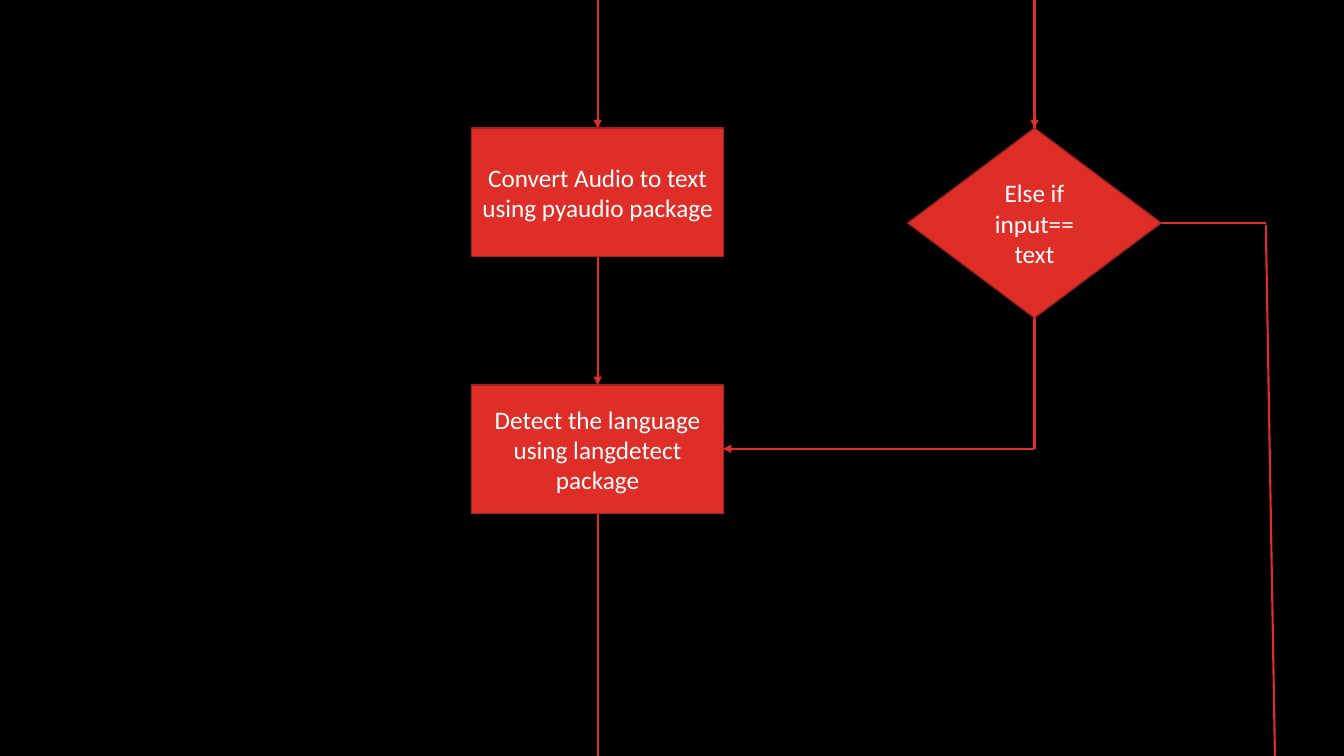
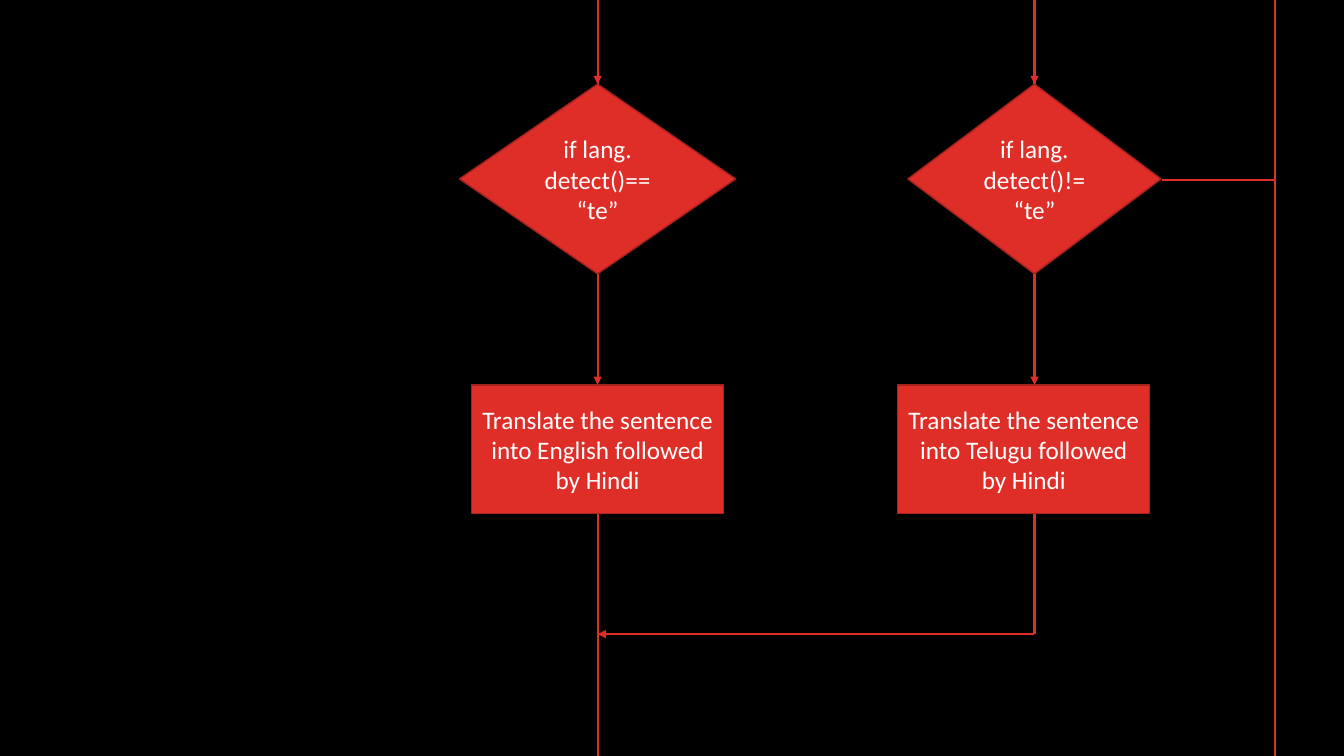
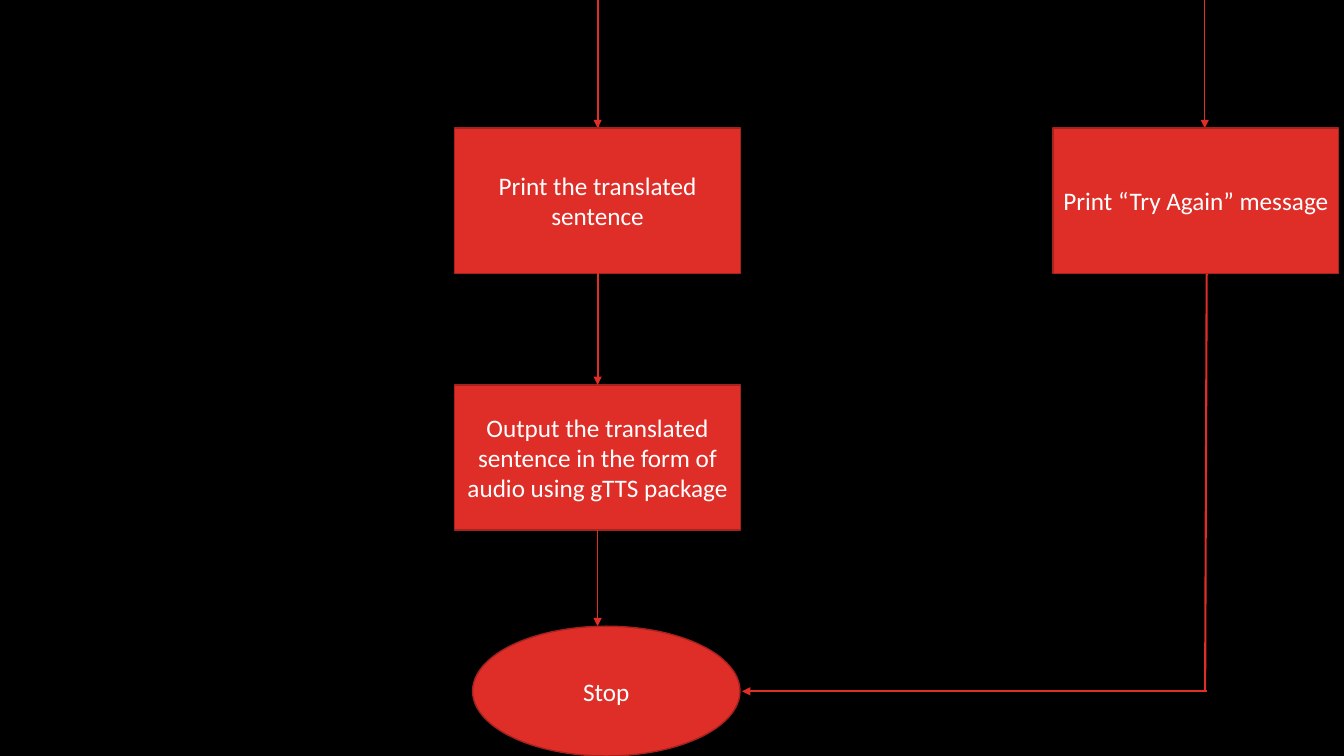
import pptx
import pptx.dml.color
import pptx.enum.shapes
import pptx.enum.text
import pptx.oxml
import pptx.oxml.ns
import pptx.util

Cm, Pt = pptx.util.Cm, pptx.util.Pt
SHAPE = pptx.enum.shapes.MSO_SHAPE
STRAIGHT = pptx.enum.shapes.MSO_CONNECTOR.STRAIGHT
NS = pptx.oxml.ns.nsdecls("a")

WIDTH, HEIGHT = 33.87, 19.05
MAIN_X, SIDE_X = 15.06, 26.07  # centres of the two flow columns
RETRY_X = 32.13                # line that leads to "Try Again"
ROW_1, ROW_2 = 3.23, 9.7       # tops of the two rows of boxes
TEST_TOP = 2.12
BOX = (6.35, 3.24)
WIDE_BOX = (7.2, 3.66)
TEST = (6.38, 4.78)
WIDE_TEST = (6.96, 4.78)
TOP, BOTTOM = 0, 2             # connection sites of boxes and diamonds


def color(value):
    return pptx.dml.color.RGBColor.from_string(value)


def write(tf, text, size=18, font="Calibri", fill="FFFFFF",
          align=pptx.enum.text.PP_ALIGN.CENTER):
    """Fill a text frame with one paragraph for each line of text."""
    tf.word_wrap = True
    tf.vertical_anchor = pptx.enum.text.MSO_ANCHOR.MIDDLE
    for i, line in enumerate(text.split("\n")):
        p = tf.paragraphs[0] if i == 0 else tf.add_paragraph()
        p.alignment = align
        r = p.add_run()
        r.text = line
        r.font.size, r.font.name = Pt(size), font
        r.font.color.rgb = color(fill)


class Flowchart:
    RED, EDGE, BACK = "DF2E28", "A5221E", "000000"
    THICK, THIN = 1.5, 0.75

    def __init__(self):
        self.prs = pptx.Presentation()
        self.prs.slide_width, self.prs.slide_height = Cm(WIDTH), Cm(HEIGHT)
        fill = self.prs.slide_master.background.fill
        fill.solid()
        fill.fore_color.rgb = color(self.BACK)

    def new_slide(self):
        self.s = self.prs.slides.add_slide(self.prs.slide_layouts[6])

    def node(self, text, x, top, size=BOX, kind=SHAPE.RECTANGLE):
        """Add a filled shape centred on x."""
        w, h = size
        sp = self.s.shapes.add_shape(kind, Cm(x - w / 2), Cm(top), Cm(w), Cm(h))
        sp.shadow.inherit = False
        sp.fill.solid()
        sp.fill.fore_color.rgb = color(self.RED)
        sp.line.color.rgb = color(self.EDGE)
        sp.line.width = Pt(1)
        write(sp.text_frame, text)
        return sp

    def test(self, text, x, top, size=TEST):
        return self.node(text, x, top, size, SHAPE.DIAMOND)

    def line(self, x1, y1, x2, y2, width=THICK, arrow=False):
        cn = self.s.shapes.add_connector(STRAIGHT, Cm(x1), Cm(y1), Cm(x2), Cm(y2))
        cn.line.color.rgb = color(self.RED)
        cn.line.width = Pt(width)
        if arrow:
            cn.line._get_or_add_ln().append(
                pptx.oxml.parse_xml(f'<a:tailEnd {NS} type="triangle"/>'))
        cn._element.spPr.append(pptx.oxml.parse_xml(f"<a:effectLst {NS}/>"))
        return cn

    def arrow(self, x1, y1, x2, y2, width=THICK):
        return self.line(x1, y1, x2, y2, width, arrow=True)

    def link(self, upper, lower):
        """Join the bottom of one node to the top of the next."""
        cn = self.arrow(0, 0, 0, 0)
        cn.begin_connect(upper, BOTTOM)
        cn.end_connect(lower, TOP)

    def entry(self, x, y):
        """Bring the flow in from the slide above, with a fine arrowhead."""
        self.line(x, 0, x, y)
        self.arrow(x, 0, x, y, self.THIN)

    def leave(self, x, y):
        """Carry the flow on to the slide below."""
        self.line(x, y, x, HEIGHT)


def input_slide(fc):
    fc.new_slide()
    fc.entry(MAIN_X, ROW_1)
    fc.entry(SIDE_X, ROW_1)
    convert = fc.node("Convert Audio to text using pyaudio package", MAIN_X, ROW_1)
    detect = fc.node("Detect the language using langdetect package", MAIN_X, ROW_2)
    fc.link(convert, detect)
    fc.test("Else if input==\ntext", SIDE_X, ROW_1)
    fc.line(SIDE_X, 8.02, SIDE_X, 11.31)
    fc.arrow(SIDE_X, 11.31, 18.22, 11.31)
    fc.line(29.26, 5.62, 31.9, 5.62)
    fc.line(31.9, 5.67, RETRY_X, HEIGHT)
    fc.leave(MAIN_X, 12.94)


def translate_slide(fc):
    fc.new_slide()
    fc.entry(MAIN_X, TEST_TOP)
    fc.entry(SIDE_X, TEST_TOP)
    is_telugu = fc.test("if lang.\ndetect()==\n“te”", MAIN_X, TEST_TOP, WIDE_TEST)
    english = fc.node("Translate the sentence into English followed by Hindi",
                      MAIN_X, ROW_2)
    fc.link(is_telugu, english)
    fc.test("if lang.\ndetect()!=\n“te”", SIDE_X, TEST_TOP)
    fc.arrow(SIDE_X, 6.9, SIDE_X, ROW_2)
    fc.node("Translate the sentence into Telugu followed by Hindi", 25.8, ROW_2)
    fc.line(29.28, 4.54, RETRY_X, 4.54)
    fc.leave(RETRY_X, 0)
    fc.leave(MAIN_X, 12.94)
    fc.line(SIDE_X, 12.94, SIDE_X, 15.98)
    fc.arrow(SIDE_X, 15.98, MAIN_X, 15.98)


def output_slide(fc):
    fc.new_slide()
    fc.entry(MAIN_X, ROW_1)
    printed = fc.node("Print the translated sentence", MAIN_X, ROW_1, WIDE_BOX)
    spoken = fc.node("Output the translated sentence in the form of audio "
                     "using gTTS package", MAIN_X, ROW_2, WIDE_BOX)
    fc.link(printed, spoken)
    fc.arrow(MAIN_X, 13.35, MAIN_X, 15.78, fc.THIN)
    fc.node("Stop", 15.28, 15.78, (6.74, 3.27), SHAPE.OVAL)
    fc.arrow(30.36, 0, 30.36, ROW_1, fc.THIN)
    fc.node("Print “Try Again” message", 30.14, ROW_1, WIDE_BOX)
    fc.line(30.41, 6.9, 30.37, 17.42)
    fc.arrow(30.41, 17.42, 18.7, 17.42)


def main():
    fc = Flowchart()
    input_slide(fc)
    translate_slide(fc)
    output_slide(fc)
    fc.prs.save("out.pptx")


if __name__ == "__main__":
    main()
